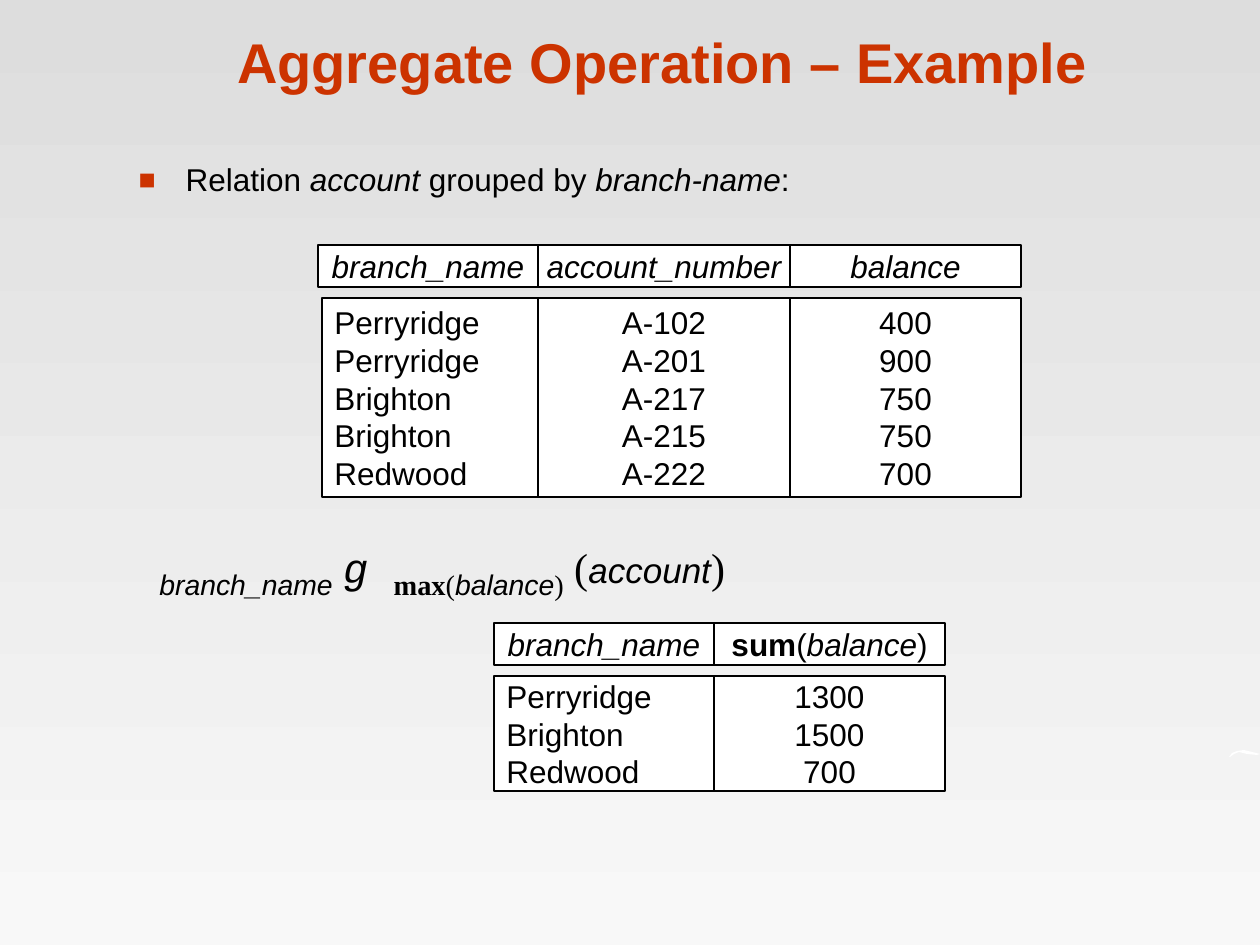
from lxml import etree
from pptx import Presentation
from pptx.dml.color import RGBColor
from pptx.enum.shapes import MSO_SHAPE
from pptx.enum.text import MSO_ANCHOR, PP_ALIGN
from pptx.oxml.ns import qn
from pptx.util import Emu, Pt

RECTANGLE = MSO_SHAPE.RECTANGLE
MIDDLE, BOTTOM, TOP = MSO_ANCHOR.MIDDLE, MSO_ANCHOR.BOTTOM, MSO_ANCHOR.TOP
LEFT, CENTER = PP_ALIGN.LEFT, PP_ALIGN.CENTER
EMU_PER_PX = 914400 / 126
COLORS = {"accent": "CC3300", "text": "000000", "cell": "FFFFFF",
          "background_top": "DDDDDD", "background_bottom": "F8F8F8"}
PLAIN = {"name": "Arial", "size": Pt(18), "bold": False, "italic": False}
ITALIC = {**PLAIN, "italic": True}
BOLD = {**PLAIN, "bold": True}
TITLE = {**BOLD, "size": Pt(32)}
SERIF = {**PLAIN, "name": "Times New Roman", "size": Pt(24)}
OPERATOR = {**ITALIC, "name": "Courier New", "size": Pt(24)}
ARGUMENT = {**ITALIC, "size": Pt(20)}
SUBSCRIPT_SERIF = {**SERIF, "size": Pt(28)}
SUBSCRIPT_BOLD = {**SUBSCRIPT_SERIF, "bold": True}
SUBSCRIPT_ITALIC = {**ITALIC, "size": Pt(28)}
SUBSCRIPTS = (SUBSCRIPT_SERIF, SUBSCRIPT_BOLD, SUBSCRIPT_ITALIC)


def px(length):
    """Turn a length in px into EMU."""
    return Emu(round(length * EMU_PER_PX))


def rgb(name):
    """Look up a named colour."""
    return RGBColor.from_string(COLORS[name])


def apply(target, values):
    """Set each attribute of the target from a dict of values."""
    for name, value in values.items():
        setattr(target, name, value)


def place(shape, box):
    """Move and size a shape to a box in px."""
    apply(shape, dict(zip(("left", "top", "width", "height"), map(px, box))))


def add_runs(paragraph, runs, color="text"):
    """Write the formatted runs of one paragraph."""
    for text, values in runs:
        run = paragraph.add_run()
        run.text = text
        apply(run.font, values)
        run.font.color.rgb = rgb(color)
        if values in SUBSCRIPTS:
            run._r.get_or_add_rPr().set("baseline", "-25000")


def paint_background(slide):
    """Fill the background with a vertical gradient."""
    fill = slide.background.fill
    fill.gradient()
    fill.gradient_angle = 270
    for stop, position, name in zip(fill.gradient_stops, (0, 1),
                                    ("background_top", "background_bottom")):
        stop.position = position
        stop.color.rgb = rgb(name)


def add_swoosh(slide, left, top):
    """Draw the small white curve at the right edge."""
    points = [(0, 7), (3, 3), (8, 1), (15, 0), (23, 2), (31, 4), (28, 5),
              (18, 4), (10, 2), (5, 4), (1, 7)]
    builder = slide.shapes.build_freeform(*points[0], scale=EMU_PER_PX)
    builder.add_line_segments(points[1:])
    shape = builder.convert_to_shape(px(left), px(top))
    shape.shadow.inherit = False
    shape.fill.solid()
    shape.fill.fore_color.rgb = rgb("cell")
    shape.line.fill.background()


def write_title(slide, box):
    """Write the slide title."""
    title = slide.shapes.title
    place(title, box)
    apply(title.text_frame, {"vertical_anchor": BOTTOM, "word_wrap": True})
    paragraph = title.text_frame.paragraphs[0]
    paragraph.alignment = CENTER
    add_runs(paragraph, [("Aggregate Operation – Example", TITLE)], "accent")


def write_bullet(slide, box):
    """Write the bulleted line in the body placeholder."""
    body = slide.placeholders[1]
    place(body, box)
    apply(body.text_frame, {"vertical_anchor": TOP, "word_wrap": True})
    paragraph = body.text_frame.paragraphs[0]
    paragraph.space_before = Pt(7.9)
    add_runs(paragraph, [("Relation ", PLAIN), ("account", ITALIC), (" grouped by ", PLAIN),
                         ("branch-name", ITALIC), (":", PLAIN)])
    properties = paragraph._p.get_or_add_pPr()
    properties.set("marL", str(px(47)))
    properties.set("indent", str(-px(47)))
    color = etree.SubElement(properties, qn("a:buClr"))
    etree.SubElement(color, qn("a:srgbClr"), val=COLORS["accent"])
    etree.SubElement(properties, qn("a:buSzPct"), val="90000")
    etree.SubElement(properties, qn("a:buFont"), typeface="Arial")
    etree.SubElement(properties, qn("a:buChar"), char="■")


def write_expression(slide, box):
    """Write the aggregate expression."""
    frame = slide.shapes.add_textbox(*map(px, box)).text_frame
    frame.word_wrap = True
    add_runs(frame.paragraphs[0], [
        ("branch_name", SUBSCRIPT_ITALIC), (" ", SERIF), ("g ", OPERATOR),
        ("max", SUBSCRIPT_BOLD), ("(", SUBSCRIPT_SERIF), ("balance", SUBSCRIPT_ITALIC),
        (")", SUBSCRIPT_SERIF), (" (", SERIF), ("account", ARGUMENT), (")", SERIF)])


def add_cell(slide, box, lines, alignment):
    """Draw one bordered cell with a paragraph for each line."""
    shape = slide.shapes.add_shape(RECTANGLE, *map(px, box))
    shape.shadow.inherit = False
    shape.fill.solid()
    shape.fill.fore_color.rgb = rgb("cell")
    shape.line.color.rgb = rgb("text")
    shape.line.width = Pt(0.75)
    frame = shape.text_frame
    apply(frame, {"vertical_anchor": MIDDLE, "word_wrap": False})
    for index, runs in enumerate(lines):
        paragraph = frame.add_paragraph() if index else frame.paragraphs[0]
        paragraph.alignment = alignment
        add_runs(paragraph, runs)


def add_relation(slide, box, columns, first_shift=0):
    """Draw a relation as a header row above one tall cell per column."""
    left, top, height = box
    header_height, body_offset = 42, 53
    for index, (width, header, values) in enumerate(columns):
        add_cell(slide, (left, top, width, header_height), [header], CENTER)
        shift, alignment = (0, CENTER) if index else (first_shift, LEFT)
        body = (left + shift, top + body_offset, width, height - body_offset)
        add_cell(slide, body, [[(value, PLAIN)] for value in values.split()], alignment)
        left += width


def main():
    """Build and save the slide."""
    presentation = Presentation()
    presentation.slide_width, presentation.slide_height = px(1260), px(945)
    slide = presentation.slides.add_slide(presentation.slide_layouts[1])
    paint_background(slide)
    add_swoosh(slide, 1229, 750)
    write_title(slide, (106, 16, 1113, 85))
    write_bullet(slide, (126, 154, 946, 57))
    write_expression(slide, (147, 528, 969, 81))
    branch_header = [("branch_name", ITALIC)]
    add_relation(slide, (318, 245, 252), [
        (220, branch_header, "Perryridge Perryridge Brighton Brighton Redwood"),
        (252, [("account_number", ITALIC)], "A-102 A-201 A-217 A-215 A-222"),
        (231, [("balance", ITALIC)], "400 900 750 750 700")], first_shift=4)
    sum_header = [("sum", BOLD), ("(", PLAIN), ("balance", ITALIC), (")", PLAIN)]
    add_relation(slide, (494, 623, 168), [
        (220, branch_header, "Perryridge Brighton Redwood"),
        (231, sum_header, "1300 1500 700")])
    presentation.save("out.pptx")


if __name__ == "__main__":
    main()
